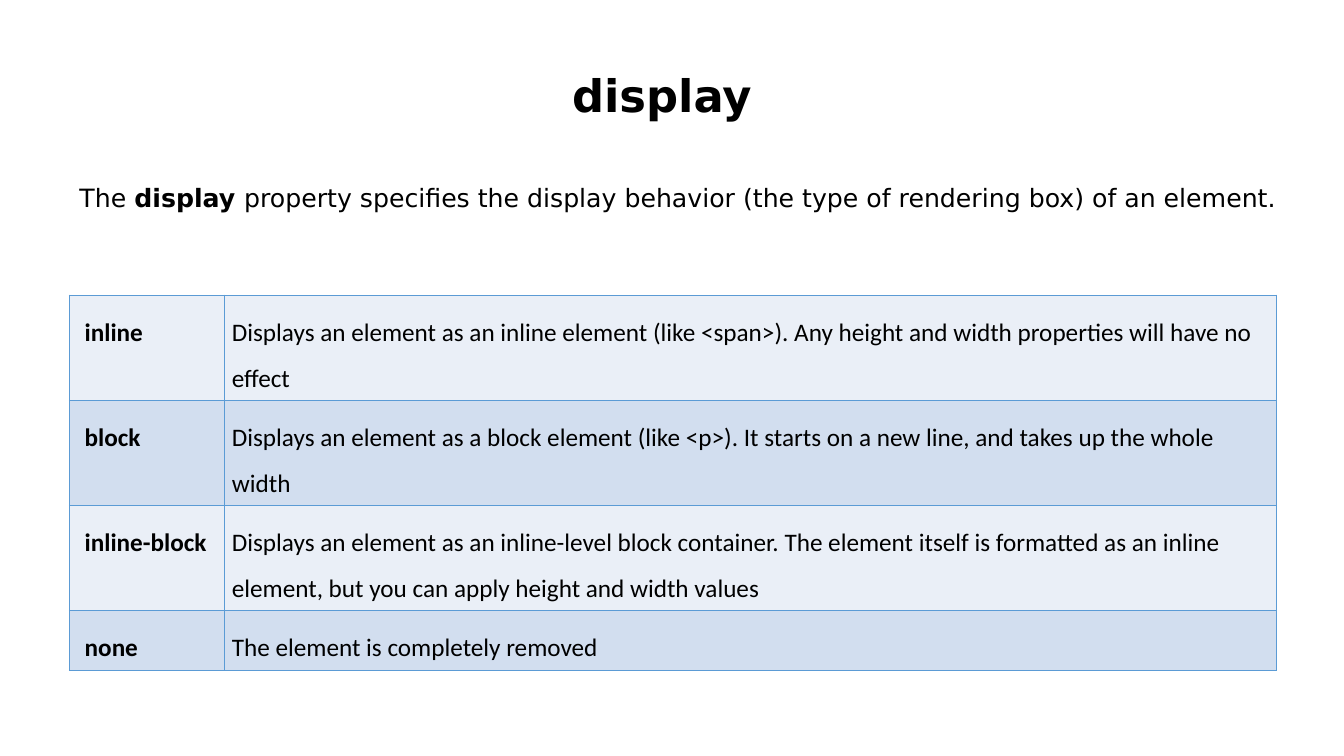
from dataclasses import dataclass

from lxml import etree
from pptx import Presentation
from pptx import util as u
from pptx.dml.color import RGBColor
from pptx.enum import text
from pptx.oxml import ns


@dataclass(frozen=True)
class Theme:
    ink: str = "000000"
    border: str = "5B9BD5"
    bands: tuple = ("EAEFF7", "D2DEEF")
    heading_font: str = "DejaVu Sans"
    table_font: str = "Calibri"
    title_size: int = 32
    body_size: int = 18


THEME = Theme()
TITLE_BOX = (5.34, 0.62, 2.45, 0.64)
INTRO_BOX = (0.69, 1.76, 12.2, 0.4)
TABLE_BOX = (0.69, 2.93, 11.97, 3.72)
LABEL_SHARE = 1.54 / 11.97
ROW_SHARES = (0.28, 0.28, 0.28, 0.16)

VALUES = [
    ("inline", "Displays an element as an inline element (like <span>). "
               "Any height and width properties will have no effect"),
    ("block", "Displays an element as a block element (like <p>). "
              "It starts on a new line, and takes up the whole width"),
    ("inline-block", "Displays an element as an inline-level block container. "
                     "The element itself is formatted as an inline element, "
                     "but you can apply height and width values"),
    ("none", "The element is completely removed"),
]


def add_text(paragraph, words, *, size=THEME.body_size, font=THEME.heading_font, bold=False):
    run = paragraph.add_run()
    run.text = words
    run.font.size = u.Pt(size)
    run.font.name = font
    run.font.bold = bold
    run.font.color.rgb = RGBColor.from_string(THEME.ink)


def inches(box):
    return [u.Inches(length) for length in box]


def draw_borders(cell):
    properties = cell._tc.get_or_add_tcPr()
    for position, side in enumerate(("lnL", "lnR", "lnT", "lnB")):
        line = etree.Element(ns.qn(f"a:{side}"), w=str(u.Pt(1)))
        fill = etree.SubElement(line, ns.qn("a:solidFill"))
        etree.SubElement(fill, ns.qn("a:srgbClr"), val=THEME.border)
        properties.insert(position, line)


def add_title(slide, box):
    title = slide.shapes.title
    title.left, title.top, title.width, title.height = inches(box)
    frame = title.text_frame
    frame.auto_size = text.MSO_AUTO_SIZE.NONE
    frame.vertical_anchor = text.MSO_ANCHOR.MIDDLE
    paragraph = frame.paragraphs[0]
    paragraph.alignment = text.PP_ALIGN.CENTER
    add_text(paragraph, "display", size=THEME.title_size, bold=True)


def add_intro(slide, box):
    frame = slide.shapes.add_textbox(*inches(box)).text_frame
    frame.word_wrap = True
    paragraph = frame.paragraphs[0]
    add_text(paragraph, "The ")
    add_text(paragraph, "display ", bold=True)
    add_text(paragraph, "property specifies the display behavior "
                        "(the type of rendering box) of an element.")


def add_values_table(slide, box):
    left, top, width, height = inches(box)
    table = slide.shapes.add_table(len(VALUES), 2, left, top, width, height).table
    table.first_row = table.horz_banding = False
    table.columns[0].width = round(width * LABEL_SHARE)
    table.columns[1].width = width - table.columns[0].width
    for row, (values, share) in enumerate(zip(VALUES, ROW_SHARES)):
        table.rows[row].height = round(height * share)
        for column, words in enumerate(values):
            is_label = column == 0
            cell = table.cell(row, column)
            cell.margin_left = u.Inches(0.15 if is_label else 0.07)
            cell.margin_right = cell.margin_top = cell.margin_bottom = u.Inches(0.07)
            cell.fill.solid()
            cell.fill.fore_color.rgb = RGBColor.from_string(THEME.bands[row % 2])
            draw_borders(cell)
            paragraph = cell.text_frame.paragraphs[0]
            paragraph.line_spacing = 1.5
            add_text(paragraph, words, font=THEME.table_font, bold=is_label)


def main():
    presentation = Presentation()
    presentation.slide_width = u.Inches(13.33)
    presentation.slide_height = u.Inches(7.5)
    slide = presentation.slides.add_slide(presentation.slide_layouts[5])  # title only

    # Heading and definition
    add_title(slide, TITLE_BOX)
    add_intro(slide, INTRO_BOX)

    # Property values
    add_values_table(slide, TABLE_BOX)
    presentation.save("out.pptx")


if __name__ == "__main__":
    main()
